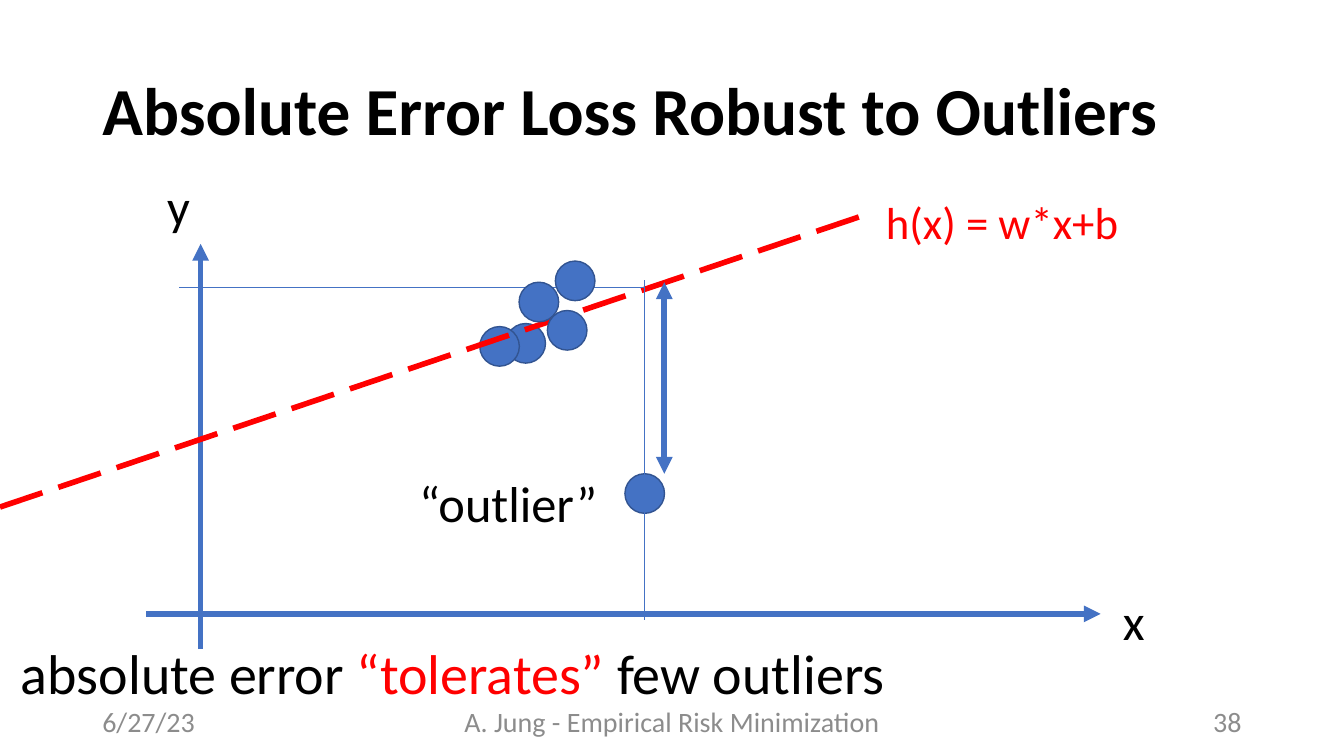
"""Build a slide showing that the absolute error loss is robust to outliers."""
from lxml.etree import SubElement
from pptx import Presentation
from pptx.dml.color import RGBColor
from pptx.enum.dml import MSO_LINE
from pptx.enum.shapes import MSO_CONNECTOR, MSO_SHAPE
from pptx.enum.text import MSO_ANCHOR, PP_ALIGN
from pptx.oxml.ns import qn
from pptx.util import Pt

COLORS = {
    "blue": "4472C4",
    "outline": "325491",
    "red": "FF0000",
    "black": "000000",
    "gray": "8C8C8C",
}
DOT_SIZE = 28.3


def rgb(name):
    return RGBColor.from_string(COLORS[name])


def write(*runs, box, size, color="black", bold=False, wrap=False,
          align=PP_ALIGN.LEFT, anchor=MSO_ANCHOR.TOP, holder=None):
    left, top, width, height = map(Pt, box)
    holder = holder or slide.shapes.add_textbox(left, top, width, height)
    holder.left, holder.top, holder.width, holder.height = left, top, width, height
    frame = holder.text_frame
    frame.word_wrap = wrap
    frame.vertical_anchor = anchor
    paragraph = frame.paragraphs[0]
    paragraph.alignment = align
    for text, run_color in runs:
        run = paragraph.add_run()
        run.text = text
        run.font.name = "Calibri"
        run.font.size = Pt(size)
        run.font.bold = bold
        run.font.color.rgb = rgb(run_color or color)
    return paragraph


deck = Presentation()
deck.slide_width, deck.slide_height = Pt(960), Pt(540)
slide = deck.slides.add_slide(deck.slide_layouts[5])

heading = write(("Absolute Error Loss Robust to Outliers", None),
                box=(66, 28.8, 828, 104.4), size=48, bold=True, wrap=True,
                anchor=MSO_ANCHOR.MIDDLE, holder=slide.shapes.title)
heading.line_spacing = 0.9

x_axis = ((104.4, 438.5), (786.2, 438.5), "blue", 4, ["tailEnd"])
y_axis = ((143.3, 463.7), (143.3, 174.2), "blue", 4, ["tailEnd"])
hypothesis = ((0, 362.2), (620.6, 152.6), "red", 4, [])
outlier_guide = ((460.1, 200.2), (460.1, 442.8), "blue", 0.5, [])
prediction_guide = ((460.1, 205.2), (128.2, 205.2), "blue", 0.5, [])
error_arrow = ((474.5, 201.6), (474.5, 338.4), "blue", 4, ["headEnd", "tailEnd"])

layers = [
    ([x_axis, y_axis], [(446.4, 338.4), (361.4, 231.1), (342.7, 233.3)]),
    ([hypothesis, outlier_guide, prediction_guide, error_arrow],
     [(370.8, 201.6), (391, 221.8), (396.7, 186.5)]),
]
for lines, dots in layers:
    for start, end, color, weight, arrowheads in lines:
        line = slide.shapes.add_connector(
            MSO_CONNECTOR.STRAIGHT, *map(Pt, start + end))
        line.line.color.rgb = rgb(color)
        line.line.width = Pt(weight)
        if color == "red":
            line.line.dash_style = MSO_LINE.LONG_DASH
        properties = line.line._get_or_add_ln()
        for arrowhead in arrowheads:
            SubElement(properties, qn(f"a:{arrowhead}"), type="triangle")
        SubElement(line._element.spPr, qn("a:effectLst"))
    for left, top in dots:
        dot = slide.shapes.add_shape(
            MSO_SHAPE.OVAL, Pt(left), Pt(top), Pt(DOT_SIZE), Pt(DOT_SIZE))
        dot.shadow.inherit = False
        dot.fill.solid()
        dot.fill.fore_color.rgb = rgb("blue")
        dot.line.color.rgb = rgb("outline")
        dot.line.width = Pt(1)

write(("x", None), box=(794.9, 417.6, 30.2, 51), size=36)
write(("y", None), box=(112.3, 121.7, 31, 51), size=36)
write(("h(x) = w*x+b", None), box=(625.7, 135.4, 182.9, 46), size=32, color="red")
write(("“outlier”", None), box=(292.3, 333.4, 151.2, 51), size=36)
write(("absolute error ", None), ("“tolerates” ", "red"), ("few outliers", None),
      box=(7.9, 452.2, 646.6, 55.4), size=40)

footer = [
    ("6/27/23", 66, 216, PP_ALIGN.LEFT),
    ("A. Jung - Empirical Risk Minimization", 318, 324, PP_ALIGN.CENTER),
    ("38", 678, 216, PP_ALIGN.RIGHT),
]
for text, left, width, align in footer:
    write((text, None), box=(left, 500.5, width, 28.8), size=20, color="gray",
          wrap=True, align=align, anchor=MSO_ANCHOR.MIDDLE)

deck.save("out.pptx")
